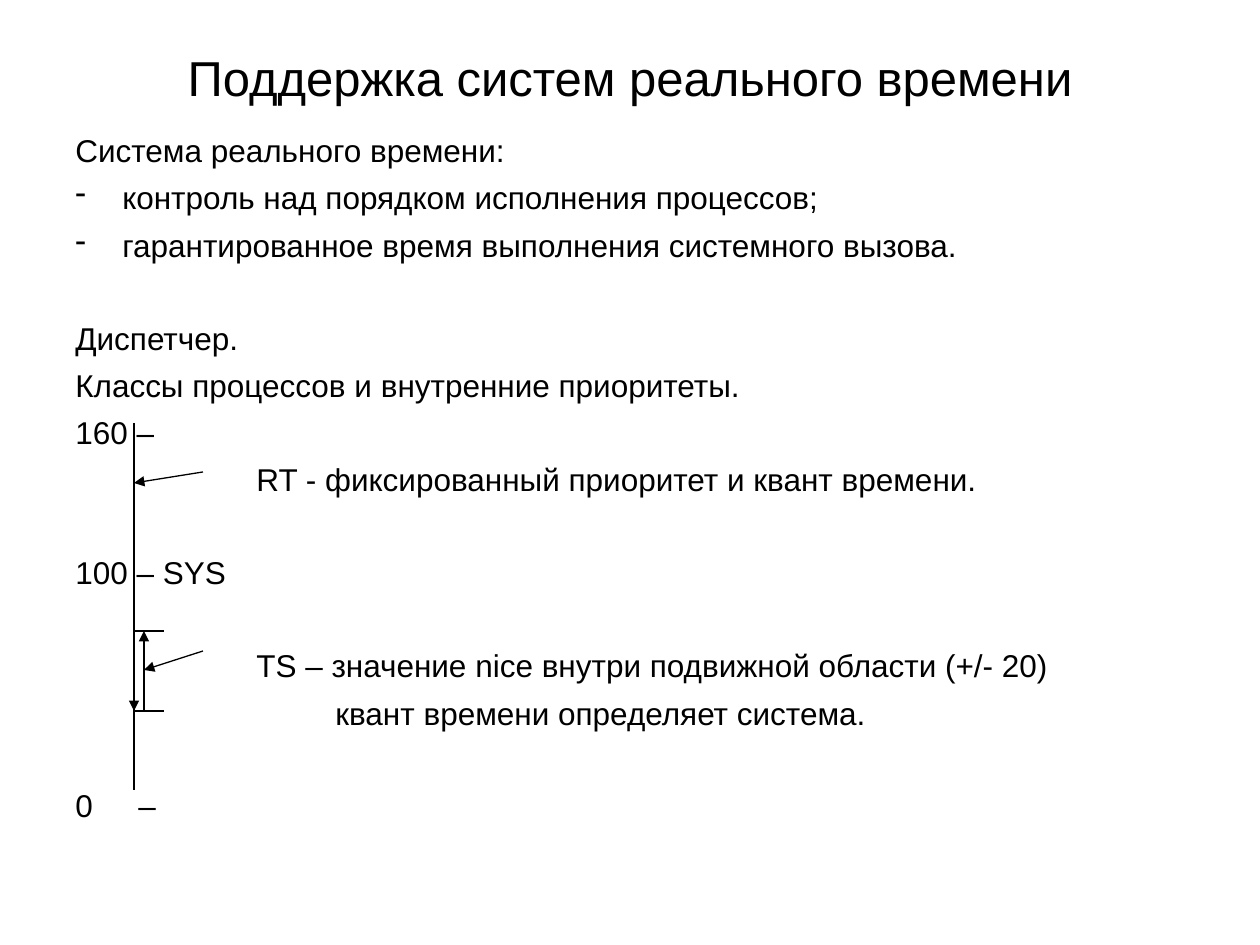
from lxml.etree import SubElement
from pptx import Presentation
from pptx.dml.color import RGBColor
from pptx.enum.shapes import MSO_CONNECTOR as Connector
from pptx.enum.text import MSO_ANCHOR as Anchor, PP_ALIGN as Align
from pptx.oxml.ns import qn
from pptx.util import Emu, Pt

BLACK = RGBColor(0, 0, 0)
FONT = "Arial"
PX_PER_INCH = 126
LINE_PITCH = 26.1
GAP = 5.4


def px(length):
    return Emu(round(length * 914400 / PX_PER_INCH))


def style(para, size):
    para.font.name = FONT
    para.font.size = Pt(size)
    para.font.color.rgb = BLACK


deck = Presentation()
deck.slide_width, deck.slide_height = px(1260), px(945)
page = deck.slides.add_slide(deck.slide_layouts[5])

title = page.shapes.title
title.left, title.top, title.width, title.height = px(63), px(38), px(1134), px(77)
title.text_frame.vertical_anchor = Anchor.MIDDLE
heading = title.text_frame.paragraphs[0]
heading.text = "Поддержка систем реального времени"
heading.alignment = Align.CENTER
style(heading, 28)

body = page.shapes.add_textbox(px(63), px(125), px(1134), px(719))
frame = body.text_frame
frame.word_wrap = True

# text, left margin, bullet, tab stop, skipped lines
lines = [
    ("Система реального времени:", 0, None, None, 0),
    ("контроль над порядком исполнения процессов;", 47, "-", None, 0),
    ("гарантированное время выполнения системного вызова.", 47, "-", None, 0),
    ("Диспетчер.", 0, None, None, 1),
    ("Классы процессов и внутренние приоритеты.", 0, None, None, 0),
    ("160 –", 0, None, None, 0),
    ("RT - фиксированный приоритет и квант времени.", 181, None, None, 0),
    ("100 – SYS", 0, None, None, 1),
    ("TS – значение nice внутри подвижной области (+/- 20)", 181, None, None, 1),
    ("квант времени определяет система.", 260, None, None, 0),
    ("0\t–", 0, None, 61, 1),
]
for index, (text, margin, bullet, tab, skipped) in enumerate(lines):
    para = frame.add_paragraph() if index else frame.paragraphs[0]
    para.text = text
    para.space_before = Pt(GAP + skipped * LINE_PITCH)
    props = para._p.get_or_add_pPr()
    props.set("marL", str(px(margin)))
    props.set("indent", str(px(-margin if bullet else 0)))
    if bullet:
        SubElement(props, qn("a:buChar"), char=bullet)
    if tab:
        stops = SubElement(props, qn("a:tabLst"))
        SubElement(stops, qn("a:tab"), pos=str(px(tab)), algn="l")
    style(para, 18)

AXIS, RANGE_X, TICK_END, POINTER_X = 134, 144, 164, 203
RANGE_TOP, RANGE_BOTTOM = 631, 711
strokes = [
    (AXIS, 423, AXIS, 790, False),
    (AXIS, RANGE_TOP, TICK_END, RANGE_TOP, False),
    (AXIS, RANGE_BOTTOM, TICK_END, RANGE_BOTTOM, False),
    (AXIS, RANGE_TOP, AXIS, RANGE_BOTTOM, True),
    (RANGE_X, RANGE_BOTTOM, RANGE_X, RANGE_TOP, True),
    (POINTER_X, 472, AXIS, 483, True),
    (POINTER_X, 651, RANGE_X, 670, True),
]
for *ends, arrow in strokes:
    stroke = page.shapes.add_connector(Connector.STRAIGHT, *map(px, ends))
    stroke.line.color.rgb = BLACK
    stroke.line.width = Pt(0.75)
    if arrow:
        SubElement(stroke.line._get_or_add_ln(), qn("a:tailEnd"), type="triangle")
    SubElement(stroke._element.spPr, qn("a:effectLst"))

deck.save("out.pptx")
